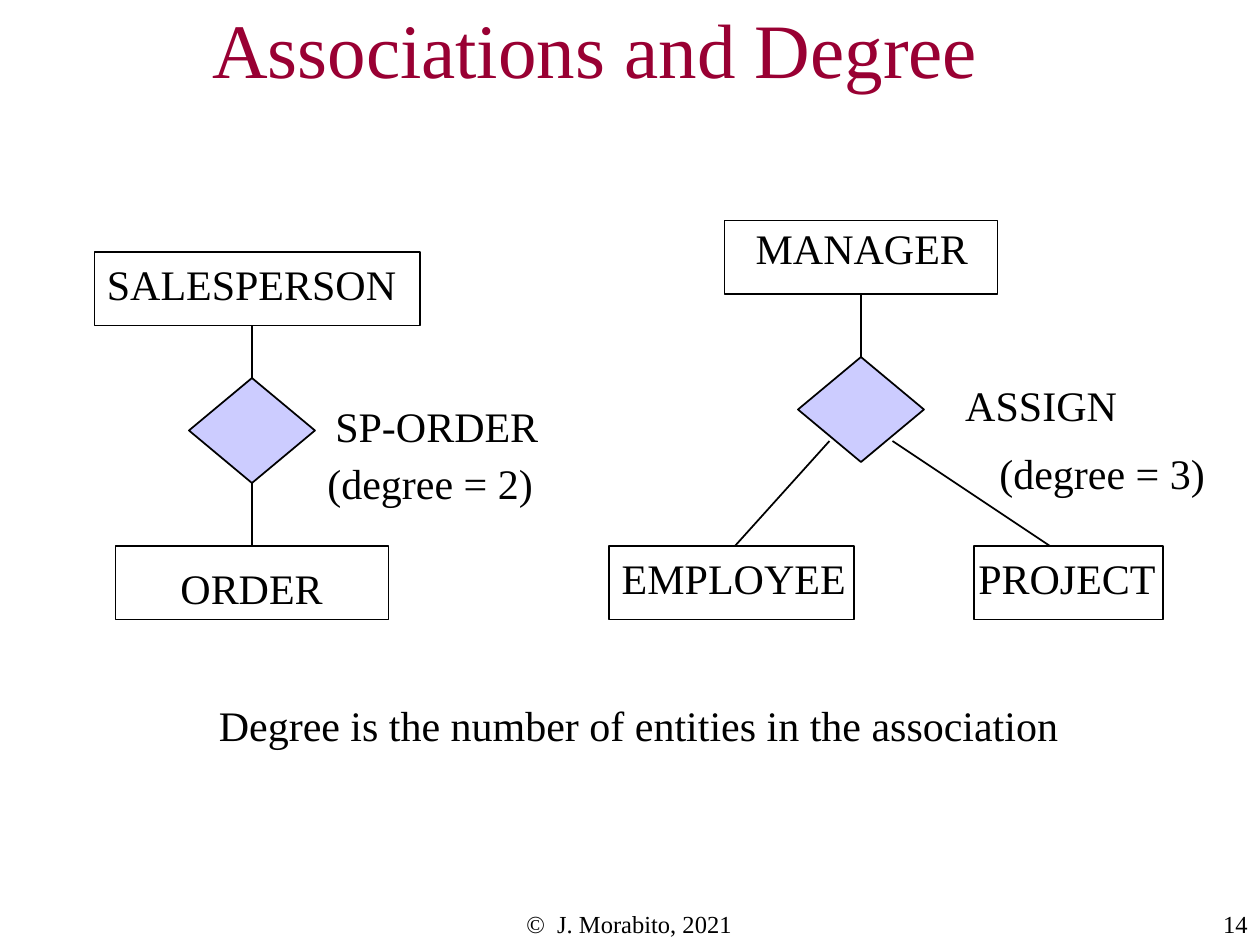
from typing import NamedTuple

from lxml.etree import SubElement
from pptx import Presentation
from pptx.dml.color import RGBColor
from pptx.enum.shapes import MSO_CONNECTOR, MSO_SHAPE
from pptx.enum.text import MSO_ANCHOR, MSO_AUTO_SIZE, PP_ALIGN
from pptx.oxml.ns import qn
from pptx.util import Pt

FONT = "Times New Roman"
BLACK, CRIMSON, LAVENDER = "000000", "990033", "CCCCFF"
ENTITY_HEIGHT, LABEL_HEIGHT = 42, 36
DIAMOND_WIDTH, DIAMOND_HEIGHT = 72, 60


class Label(NamedTuple):
    text: str
    left: float
    top: float
    width: float
    align: PP_ALIGN = PP_ALIGN.LEFT


class Entity(NamedTuple):
    left: float
    top: float
    width: float
    label: Label


class Link(NamedTuple):
    x1: float
    y1: float
    x2: float
    y2: float


class Association(NamedTuple):
    left: float
    top: float
    links: list[Link]
    name: Label
    degree: Label


ENTITIES = [
    Entity(54, 144, 186, Label("SALESPERSON", 54, 144, 180)),
    Entity(66, 312, 156, Label("ORDER", 96, 318, 96)),
    Entity(414, 126, 156, Label("MANAGER", 424.5, 123.5, 136, PP_ALIGN.CENTER)),
    Entity(348, 312, 140, Label("EMPLOYEE", 348, 312, 142.5, PP_ALIGN.CENTER)),
    Entity(556.5, 312, 108, Label("PROJECT", 552, 312, 116)),
]
ASSOCIATIONS = [
    Association(
        108, 216,
        [Link(144, 186, 144, 216), Link(144, 276, 144, 312)],
        Label("SP-ORDER", 184.5, 225.5, 132),
        Label("(degree = 2)", 180, 258, 132),
    ),
    Association(
        456, 204,
        [Link(492, 168, 492, 204), Link(510, 252, 600, 312), Link(474, 252, 420, 312)],
        Label("ASSIGN", 544.5, 213.5, 102),
        Label("(degree = 3)", 564, 252, 132),
    ),
]
DEFINITION = Label("Degree is the number of entities in the association",
                   116, 396, 498, PP_ALIGN.CENTER)
COPYRIGHT = Label("©  J. Morabito, 2021", 245.5, 516, 228, PP_ALIGN.CENTER)
PAGE_NUMBER = Label("14", 618, 516, 102, PP_ALIGN.RIGHT)


def rgb(color: str) -> RGBColor:
    return RGBColor.from_string(color)


def set_text(shape, text: str, size: float, color: str, align: PP_ALIGN) -> None:
    shape.text_frame.text = text
    paragraph = shape.text_frame.paragraphs[0]
    paragraph.alignment = align
    font = paragraph.runs[0].font
    font.name, font.size = FONT, Pt(size)
    font.color.rgb = rgb(color)


def add_label(shapes, label: Label, size: float = 24,
              height: float = LABEL_HEIGHT, wrap: bool = False) -> None:
    box = shapes.add_textbox(Pt(label.left), Pt(label.top), Pt(label.width), Pt(height))
    box.text_frame.word_wrap = wrap
    if not wrap:
        box.text_frame.auto_size = MSO_AUTO_SIZE.SHAPE_TO_FIT_TEXT
    set_text(box, label.text, size, BLACK, label.align)


def set_outline(shape) -> None:
    shape.line.color.rgb = rgb(BLACK)
    shape.line.width = Pt(1)


def add_entity(slide, entity: Entity) -> None:
    shapes = slide.shapes.add_group_shape().shapes
    box = shapes.add_shape(MSO_SHAPE.RECTANGLE, Pt(entity.left), Pt(entity.top),
                           Pt(entity.width), Pt(ENTITY_HEIGHT))
    box.shadow.inherit = False
    box.fill.background()
    set_outline(box)
    add_label(shapes, entity.label)


def add_link(shapes, link: Link) -> None:
    line = shapes.add_connector(MSO_CONNECTOR.STRAIGHT, *(Pt(value) for value in link))
    set_outline(line)
    SubElement(line._element.spPr, qn("a:effectLst"))


def add_association(slide, association: Association) -> None:
    shapes = slide.shapes.add_group_shape().shapes
    diamond = shapes.add_shape(MSO_SHAPE.DIAMOND, Pt(association.left), Pt(association.top),
                               Pt(DIAMOND_WIDTH), Pt(DIAMOND_HEIGHT))
    diamond.shadow.inherit = False
    diamond.fill.solid()
    diamond.fill.fore_color.rgb = rgb(LAVENDER)
    set_outline(diamond)
    for link in association.links:
        add_link(shapes, link)
    add_label(shapes, association.name)
    add_label(slide.shapes, association.degree)


def add_title(slide, text: str) -> None:
    title = slide.shapes.title
    title.left, title.top, title.width, title.height = Pt(114), Pt(6), Pt(606), Pt(42)
    title.text_frame.vertical_anchor = MSO_ANCHOR.MIDDLE
    set_text(title, text, 44, CRIMSON, PP_ALIGN.LEFT)


def main() -> None:
    presentation = Presentation()
    presentation.slide_width, presentation.slide_height = Pt(720), Pt(540)
    slide = presentation.slides.add_slide(presentation.slide_layouts[5])

    add_title(slide, "Associations and Degree")
    for entity in ENTITIES:
        add_entity(slide, entity)
    for association in ASSOCIATIONS:
        add_association(slide, association)
    add_label(slide.shapes, DEFINITION)
    for footer in (COPYRIGHT, PAGE_NUMBER):
        add_label(slide.shapes, footer, size=14, height=24, wrap=True)

    presentation.save("out.pptx")


if __name__ == "__main__":
    main()
